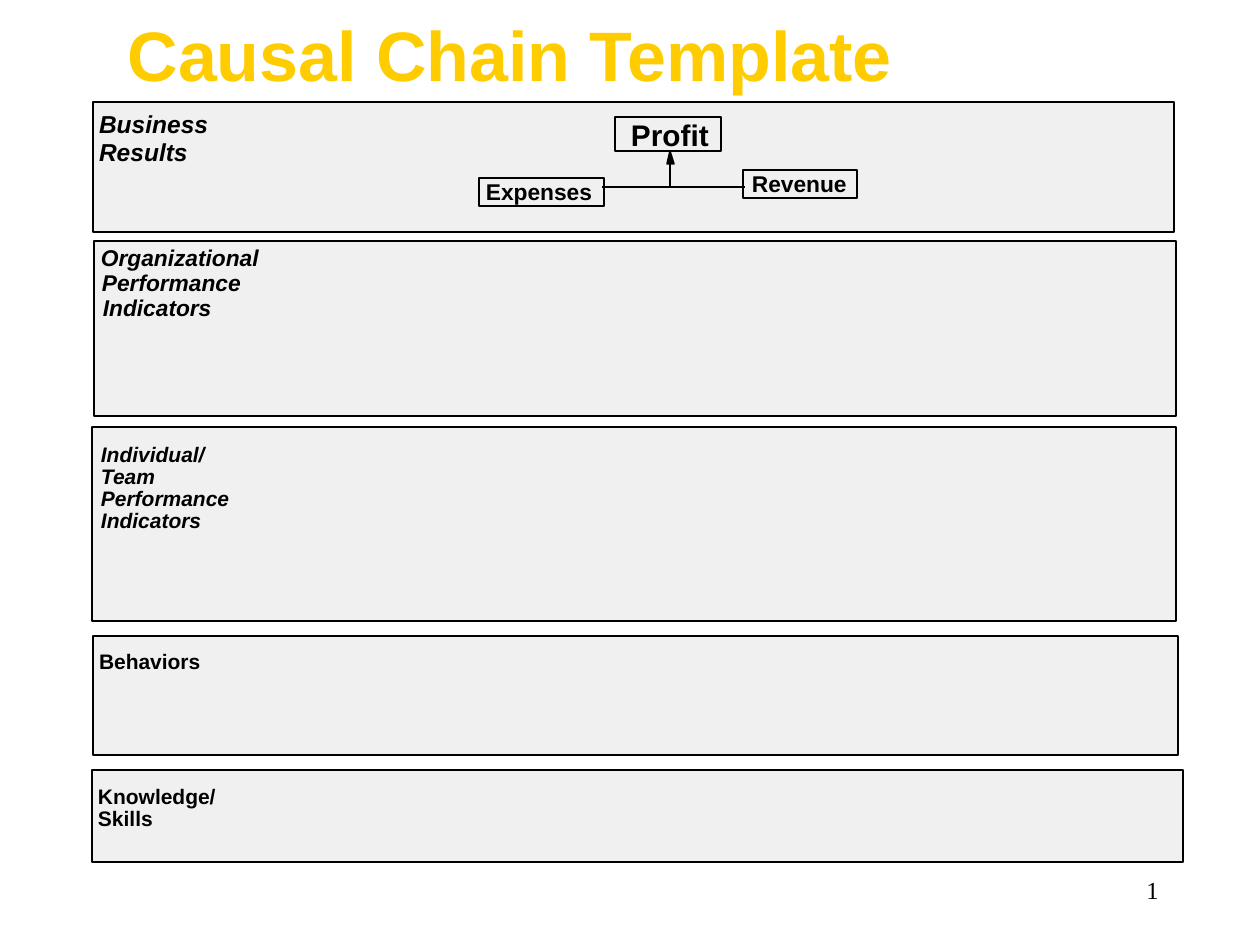
from lxml import etree
from pptx import Presentation
from pptx.dml.color import RGBColor
from pptx.enum.shapes import MSO_CONNECTOR, MSO_SHAPE
from pptx.enum.text import MSO_ANCHOR, MSO_AUTO_SIZE, PP_ALIGN
from pptx.oxml.ns import qn
from pptx.util import Emu, Pt

RECTANGLE = MSO_SHAPE.RECTANGLE
STRAIGHT = MSO_CONNECTOR.STRAIGHT
LEFT, RIGHT = PP_ALIGN.LEFT, PP_ALIGN.RIGHT
TOP, MIDDLE = MSO_ANCHOR.TOP, MSO_ANCHOR.MIDDLE
FIXED, GROW = MSO_AUTO_SIZE.NONE, MSO_AUTO_SIZE.SHAPE_TO_FIT_TEXT

SCALE = 914400 / 126
PAGE_SIZE = (1260, 945)
TITLE_ONLY = 5

THEME = {
    "title": "FFCC00", "ink": "000000", "band": "F0F0F0",
    "sans": "Arial", "serif": "Times New Roman",
    "title_size": 40, "number_size": 14, "stroke": 0.88,
}

TITLE = ("Causal Chain Template", (115, -25, 914, 158))
PAGE_NUMBER = ("1", (909, 869, 262, 63))

BANDS = [
    {"box": (92, 427, 1084, 194), "start": (101, 442), "pitch": 22, "indent": 0,
     "size": 12, "italic": True,
     "lines": [("Individual/", 114), ("Team", 70), ("Performance", 139), ("Indicators", 106)]},
    {"box": (94, 241, 1082, 175), "start": (101, 244), "pitch": 25, "indent": 1,
     "size": 13, "italic": True,
     "lines": [("Organizational", 168), ("Performance", 149), ("Indicators", 116)]},
    {"box": (93, 102, 1081, 130), "start": (99, 109), "pitch": 28, "indent": 0,
     "size": 14, "italic": True,
     "lines": [("Business", 120), ("Results", 96)]},
    {"box": (93, 636, 1085, 119), "start": (99, 649), "pitch": 22, "indent": 0,
     "size": 12, "italic": False,
     "lines": [("Behaviors", 108)]},
    {"box": (92, 770, 1091, 92), "start": (98, 784), "pitch": 22, "indent": 0,
     "size": 12, "italic": False,
     "lines": [("Knowledge/", 126), ("Skills", 62)]},
]

NODES = [
    ("Profit", (615, 117, 106, 34), (631, 84), 17),
    ("Revenue", (743, 170, 114, 28), (752, 100), 13),
    ("Expenses", (479, 178, 125, 28), (486, 112), 13),
]

LINKS = [(602, 187, 745, 187), (670, 187, 670, 154)]
ARROWHEAD = [(667, 164), (670, 151), (674, 164)]


def px(value):
    return Emu(round(value * SCALE))


def color(name):
    return RGBColor.from_string(THEME[name])


def assign(target, values):
    for name, value in values.items():
        setattr(target, name, value)


def place(shape, box):
    assign(shape, dict(zip(("left", "top", "width", "height"), map(px, box))))


def write(shape, text, size, ink="ink", face="sans", bold=True, italic=False,
          align=LEFT, **frame_format):
    frame = shape.text_frame
    assign(frame, frame_format)
    para = frame.paragraphs[0]
    para.alignment = align
    span = para.add_run()
    span.text = text
    assign(span.font, {"name": THEME[face], "size": Pt(size), "bold": bold, "italic": italic})
    span.font.color.rgb = color(ink)


def add_label(page, text, box, size, italic=False):
    label = page.shapes.add_textbox(*map(px, box))
    write(label, text, size, italic=italic, word_wrap=False, auto_size=GROW,
          margin_left=0, margin_right=0, margin_top=0, margin_bottom=0)


def outline(shape, fill=None):
    shape.shadow.inherit = False
    if fill:
        shape.fill.solid()
        shape.fill.fore_color.rgb = color(fill)
    else:
        shape.fill.background()
    stroke(shape)


def stroke(shape):
    shape.line.color.rgb = color("ink")
    shape.line.width = Pt(THEME["stroke"])


def add_box(page, box, fill=None):
    outline(page.shapes.add_shape(RECTANGLE, *map(px, box)), fill)


def add_link(page, ends):
    link = page.shapes.add_connector(STRAIGHT, *map(px, ends))
    stroke(link)
    etree.SubElement(link._element.spPr, qn("a:effectLst"))


def add_bands(page):
    for band in BANDS:
        add_box(page, band["box"], "band")
    for band in BANDS:
        left, top = band["start"]
        for row, (text, width) in enumerate(band["lines"]):
            box = (left + row * band["indent"], top + row * band["pitch"],
                   width, band["size"] * 2 + 1)
            add_label(page, text, box, band["size"], band["italic"])


def add_chain(page):
    for text, box, (text_left, text_width), size in NODES:
        add_box(page, box)
        add_label(page, text, (text_left, box[1], text_width, box[3]), size)
    for ends in LINKS:
        add_link(page, ends)
    builder = page.shapes.build_freeform(*ARROWHEAD[0], scale=SCALE)
    builder.add_line_segments(ARROWHEAD[1:], close=True)
    outline(builder.convert_to_shape(), "ink")


def main():
    deck = Presentation()
    deck.slide_width, deck.slide_height = map(px, PAGE_SIZE)
    page = deck.slides.add_slide(deck.slide_layouts[TITLE_ONLY])

    text, box = TITLE
    place(page.shapes.title, box)
    write(page.shapes.title, text, THEME["title_size"], "title",
          word_wrap=True, auto_size=FIXED, vertical_anchor=MIDDLE)

    add_bands(page)
    add_chain(page)

    text, box = PAGE_NUMBER
    number = page.shapes.add_textbox(*map(px, box))
    write(number, text, THEME["number_size"], face="serif", bold=False, align=RIGHT,
          word_wrap=True, vertical_anchor=TOP)
    deck.save("out.pptx")


if __name__ == "__main__":
    main()
